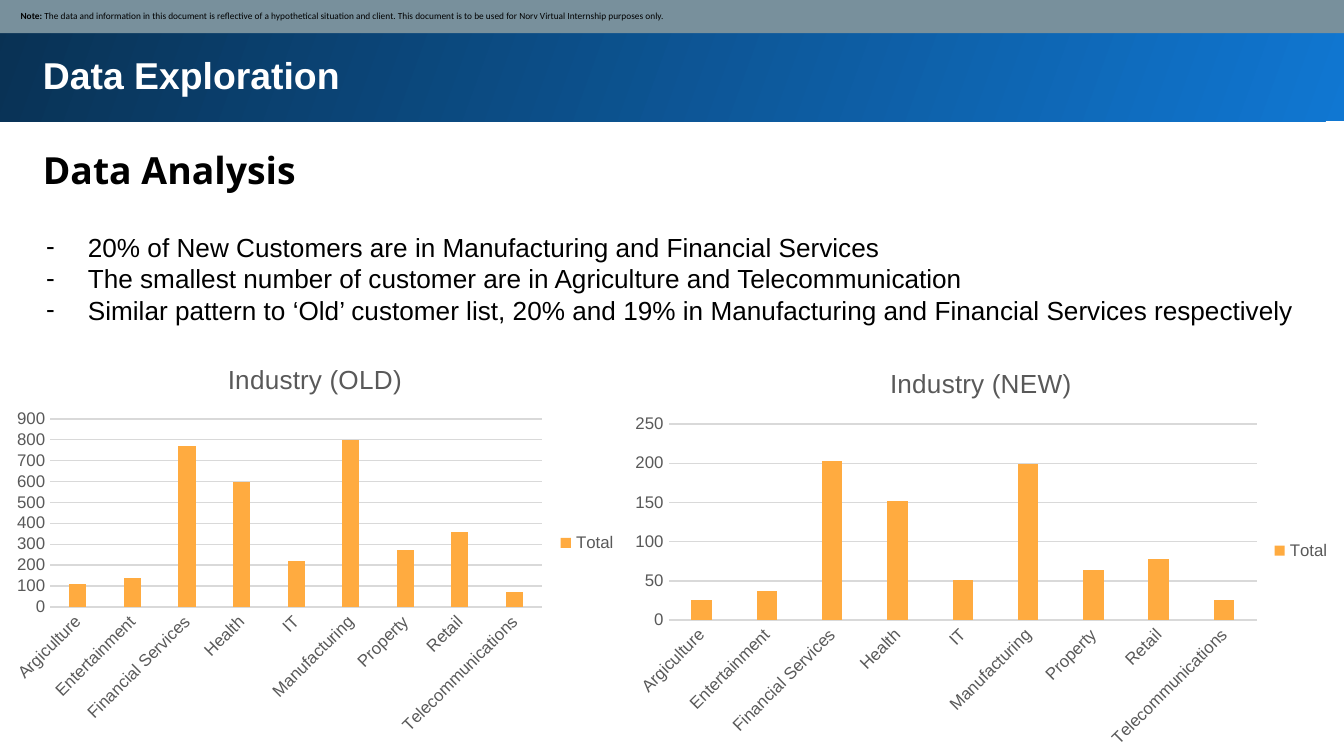
"""Build the Data Exploration slide with two industry column charts."""
from lxml import etree
from pptx import Presentation
from pptx.chart.data import CategoryChartData
from pptx.dml.color import RGBColor
from pptx.enum.chart import XL_CHART_TYPE, XL_LEGEND_POSITION, XL_TICK_MARK
from pptx.enum.shapes import MSO_SHAPE
from pptx.enum.text import MSO_ANCHOR, MSO_AUTO_SIZE, PP_ALIGN
from pptx.oxml.ns import qn
from pptx.util import Cm, Pt

COLUMNS = XL_CHART_TYPE.COLUMN_CLUSTERED
LEGEND_RIGHT = XL_LEGEND_POSITION.RIGHT
NO_TICK = XL_TICK_MARK.NONE
RECTANGLE = MSO_SHAPE.RECTANGLE
TOP, MIDDLE = MSO_ANCHOR.TOP, MSO_ANCHOR.MIDDLE
GROW, FIXED = MSO_AUTO_SIZE.SHAPE_TO_FIT_TEXT, MSO_AUTO_SIZE.NONE
LEFT = PP_ALIGN.LEFT

BLACK, WHITE, GREY, GRID, ORANGE = "000000", "FFFFFF", "595959", "D9D9D9", "FFAB40"
BAND_COLORS = ("1077D2", "093153")
NOTE_COLOR = "78909C"

TITLE = "Data Exploration"
HEADING = "Data Analysis"
NOTE = [
    ("Note: ", True),
    ("The data and information in this document is reflective of a hypothetical "
     "situation and client. This document is to be used for Norv Virtual "
     "Internship purposes only.", False),
]
FINDINGS = [
    "20% of New Customers are in Manufacturing and Financial Services",
    "The smallest number of customer are in Agriculture and Telecommunication",
    "Similar pattern to ‘Old’ customer list, 20% and 19% in Manufacturing "
    "and Financial Services respectively",
]
INDUSTRIES = ["Argiculture", "Entertainment", "Financial Services", "Health", "IT",
              "Manufacturing", "Property", "Retail", "Telecommunications"]
CHARTS = [
    {"title": "Industry (OLD)", "box": (0, 6.48, 11.91, 7.57),
     "plot": (0.08, 0.19, 0.78, 0.47), "maximum": 900, "step": 100,
     "values": [110, 140, 770, 600, 220, 800, 270, 360, 70]},
    {"title": "Industry (NEW)", "box": (11.68, 6.55, 13.72, 7.72),
     "plot": (0.07, 0.19, 0.81, 0.48), "maximum": 250, "step": 50,
     "values": [26, 37, 203, 152, 51, 199, 64, 78, 25]},
]


def color(value):
    return RGBColor.from_string(value)


def style_font(font, size, tint, name="Arial", bold=False):
    font.size, font.name, font.bold = Pt(size), name, bold
    font.color.rgb = color(tint)


def place(shape, left, top, width, height):
    shape.left, shape.top = Cm(left), Cm(top)
    shape.width, shape.height = Cm(width), Cm(height)


def set_frame(shape, inset, anchor=TOP, auto_size=GROW, wrap=True):
    frame = shape.text_frame
    frame.margin_left = frame.margin_right = Cm(inset)
    frame.margin_top = frame.margin_bottom = Cm(inset)
    frame.vertical_anchor, frame.auto_size, frame.word_wrap = anchor, auto_size, wrap
    return frame


def add_run(paragraph, text, *style, **options):
    paragraph.alignment = LEFT
    run = paragraph.add_run()
    run.text = text
    style_font(run.font, *style, **options)


def add_bar(slide, *box):
    bar = slide.shapes.add_shape(RECTANGLE, *map(Cm, box))
    bar.shadow.inherit = False
    bar.line.fill.background()
    return bar


def set_dash(paragraph, indent):
    properties = paragraph._p.get_or_add_pPr()
    properties.set("marL", str(Cm(indent)))
    properties.set("indent", str(-Cm(indent)))
    etree.SubElement(properties, qn("a:buChar")).set("char", "-")


def set_plot_area(chart, fractions):
    plot_area = chart.element.find(".//" + qn("c:plotArea"))
    for layout in plot_area.findall(qn("c:layout")):
        plot_area.remove(layout)
    layout = etree.Element(qn("c:layout"))
    plot_area.insert(0, layout)
    manual = etree.SubElement(layout, qn("c:manualLayout"))
    settings = [("layoutTarget", "inner"), ("xMode", "edge"), ("yMode", "edge")]
    settings += zip("xywh", map(str, fractions))
    for tag, value in settings:
        etree.SubElement(manual, qn("c:" + tag)).set("val", value)


def add_column_chart(slide, content):
    data = CategoryChartData()
    data.categories = INDUSTRIES
    data.add_series("Total", content["values"])
    box = map(Cm, content["box"])
    chart = slide.shapes.add_chart(COLUMNS, *box, data).chart
    style_font(chart.font, 10, BLACK)
    chart.has_title = True
    add_run(chart.chart_title.text_frame.paragraphs[0], content["title"], 14, GREY)
    chart.chart_title.include_in_layout = False
    chart.has_legend = True
    chart.legend.position = LEGEND_RIGHT
    chart.legend.include_in_layout = False
    style_font(chart.legend.font, 9, GREY)

    plot = chart.plots[0]
    plot.gap_width, plot.overlap, plot.vary_by_categories = 219, -27, False
    fill = plot.series[0].format.fill
    fill.solid()
    fill.fore_color.rgb = color(ORANGE)

    categories, values = chart.category_axis, chart.value_axis
    for axis in (categories, values):
        axis.major_tick_mark = axis.minor_tick_mark = NO_TICK
        style_font(axis.tick_labels.font, 9, GREY)
    values.minimum_scale, values.maximum_scale = 0, content["maximum"]
    values.major_unit = content["step"]
    values.format.line.fill.background()
    for line in (categories.format.line, values.major_gridlines.format.line):
        line.color.rgb, line.width = color(GRID), Pt(0.75)
    label_body = categories._element.find(qn("c:txPr")).find(qn("a:bodyPr"))
    label_body.set("rot", "-2700000")
    set_plot_area(chart, content["plot"])


presentation = Presentation()
presentation.slide_width, presentation.slide_height = Cm(25.4), Cm(14.29)
slide = presentation.slides.add_slide(presentation.slide_layouts[1])
title, findings = slide.shapes.title, slide.placeholders[1]

band = add_bar(slide, -0.05, -0.05, 25.53, 2.34)
band.fill.gradient()
band.fill.gradient_angle = 160
for stop, tint in zip(band.fill.gradient_stops, BAND_COLORS):
    stop.color.rgb = color(tint)
title._element.addprevious(band._element)

place(title, 0.56, 0.74, 23.8, 1.3)
frame = set_frame(title, 0.25)
add_run(frame.paragraphs[0], TITLE, 20, WHITE, bold=True)

heading = slide.shapes.add_textbox(Cm(0.56), Cm(2.41), Cm(23.8), Cm(1.42))
paragraph = set_frame(heading, 0.25).paragraphs[0]
paragraph.line_spacing = 1.15
add_run(paragraph, HEADING, 20, BLACK, name="Open Sans", bold=True)

note = add_bar(slide, -0.03, -0.03, 25.48, 0.66)
note.fill.solid()
note.fill.fore_color.rgb = color(NOTE_COLOR)
frame = set_frame(note, 0.13, MIDDLE, FIXED)
frame.margin_left = Cm(0.42)
for text, bold in NOTE:
    add_run(frame.paragraphs[0], text, 5, BLACK, name="Calibri", bold=bold)

for content in CHARTS:
    add_column_chart(slide, content)

place(findings, 0.74, 4.24, 23.98, 2.06)
frame = set_frame(findings, 0.13, wrap=False)
for index, text in enumerate(FINDINGS):
    paragraph = frame.add_paragraph() if index else frame.paragraphs[0]
    paragraph.space_before = Pt(0)
    set_dash(paragraph, 0.79)
    add_run(paragraph, text, 14, BLACK)

presentation.save("out.pptx")
